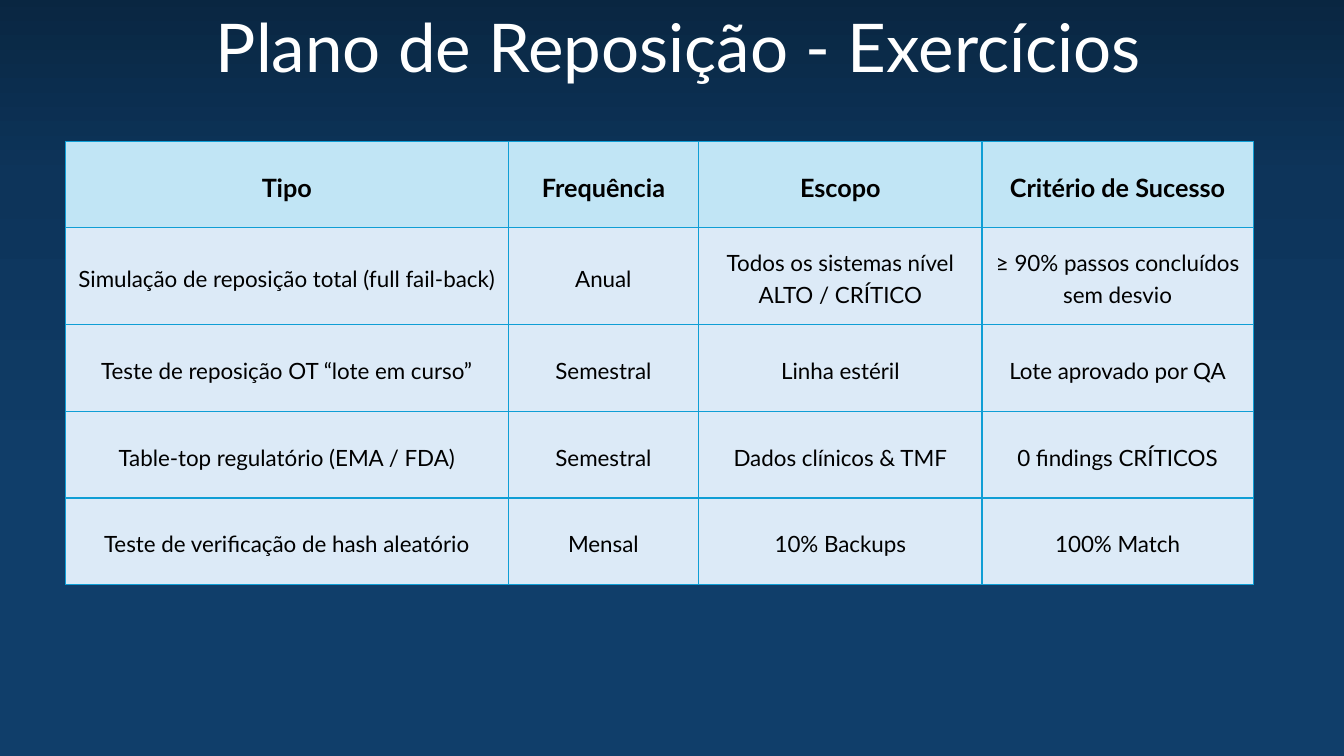
from lxml.etree import SubElement
from pptx import Presentation
from pptx.dml.color import RGBColor
from pptx.enum.shapes import MSO_SHAPE as Preset
from pptx.enum.text import MSO_ANCHOR as Anchor, MSO_AUTO_SIZE as AutoSize, PP_ALIGN as Align
from pptx.oxml import parse_xml
from pptx.oxml.ns import nsdecls, qn
from pptx.util import Inches, Pt

HEADER = ["Tipo", "Frequência", "Escopo", "Critério de Sucesso"]
EXERCISES = [
    ["Simulação de reposição total (full fail-back)", "Anual",
     "Todos os sistemas nível ALTO / CRÍTICO", "≥ 90% passos concluídos sem desvio"],
    ["Teste de reposição OT “lote em curso”", "Semestral",
     "Linha estéril", "Lote aprovado por QA"],
    ["Table-top regulatório (EMA / FDA)", "Semestral",
     "Dados clínicos & TMF", "0 findings CRÍTICOS"],
    ["Teste de verificação de hash aleatório", "Mensal",
     "10% Backups", "100% Match"],
]
COLUMN_SHARES = [32.93, 14.18, 21.08, 20.18]
ROW_SHARES = [11.47, 12.8, 11.47, 11.47, 11.47]
BACKGROUND_STOPS = [(0, "09253F"), (25, "0D345A"), (65, "103E6A")]


def rgb(value):
    return RGBColor.from_string(value)


class SlideBuilder:
    font_name = "Lato"
    white = "FFFFFF"
    black = "000000"
    border = "0F9ED5"
    header_fill = "C1E5F5"
    body_fill = "DCEAF7"

    def __init__(self, presentation):
        self.width = presentation.slide_width
        self.height = presentation.slide_height
        self.slide = presentation.slides.add_slide(presentation.slide_layouts[6])

    def across(self, share):
        return int(self.width * share / 100)

    def down(self, share):
        return int(self.height * share / 100)

    def box(self, left, top, width, height):
        return self.across(left), self.down(top), self.across(width), self.down(height)

    def styled_text(self, text_frame, text, size, color, bold=False):
        text_frame.text = text
        paragraph = text_frame.paragraphs[0]
        paragraph.alignment = Align.CENTER
        for run in paragraph.runs:
            run.font.name = self.font_name
            run.font.size = Pt(size)
            run.font.bold = bold
            run.font.color.rgb = rgb(color)
        return paragraph

    def background(self, stops, *place):
        shape = self.slide.shapes.add_shape(Preset.RECTANGLE, *self.box(*place))
        shape.shadow.inherit = False
        shape.line.color.rgb = rgb(self.black)
        shape.line.width = Pt(1.5)
        stop_xml = "".join(
            f'<a:gs pos="{position * 1000}"><a:srgbClr val="{color}"/></a:gs>'
            for position, color in stops)
        gradient = parse_xml(
            f'<a:gradFill {nsdecls("a")} rotWithShape="1"><a:gsLst>{stop_xml}</a:gsLst>'
            '<a:lin ang="5400000" scaled="0"/></a:gradFill>')
        shape.element.spPr.find(qn("a:prstGeom")).addnext(gradient)

    def title(self, text, *place):
        text_frame = self.slide.shapes.add_textbox(*self.box(*place)).text_frame
        text_frame.word_wrap = False
        text_frame.auto_size = AutoSize.SHAPE_TO_FIT_TEXT
        self.styled_text(text_frame, text, 48, self.white)

    def cell_borders(self, cell, top_width):
        properties = cell._tc.get_or_add_tcPr()
        for side, width in (("L", 1), ("R", 1), ("T", top_width), ("B", 1)):
            line = SubElement(properties, qn(f"a:ln{side}"), w=str(Pt(width)))
            fill = SubElement(line, qn("a:solidFill"))
            SubElement(fill, qn("a:srgbClr"), val=self.border)

    def table_cell(self, cell, text, is_header, top_width):
        self.cell_borders(cell, top_width)
        cell.fill.solid()
        cell.fill.fore_color.rgb = rgb(self.header_fill if is_header else self.body_fill)
        cell.vertical_anchor = Anchor.MIDDLE
        cell.margin_left = cell.margin_right = Inches(0.07)
        cell.margin_top = cell.margin_bottom = 0
        paragraph = self.styled_text(cell.text_frame, text, 18 if is_header else 16,
                                     self.black, is_header)
        paragraph.line_spacing = 1.2
        paragraph.space_after = Pt(3)

    def table(self, rows, left, top, column_shares, row_shares):
        place = self.box(left, top, sum(column_shares), sum(row_shares))
        table = self.slide.shapes.add_table(len(rows), len(column_shares), *place).table
        table.first_row = table.horz_banding = False
        for column, share in zip(table.columns, column_shares):
            column.width = self.across(share)
        for row, share in zip(table.rows, row_shares):
            row.height = self.down(share)
        last = len(rows) - 1
        for row_index, texts in enumerate(rows):
            for column_index, text in enumerate(texts):
                self.table_cell(table.cell(row_index, column_index), text,
                                row_index == 0, 2 if row_index == last else 1)


def main():
    presentation = Presentation()
    presentation.slide_width = Inches(13.33)
    presentation.slide_height = Inches(7.5)
    builder = SlideBuilder(presentation)
    builder.background(BACKGROUND_STOPS, -2.03, -2.93, 104.88, 106.4)
    builder.title("Plano de Reposição - Exercícios", 15.15, 0, 70.67, 12.13)
    builder.table([HEADER] + EXERCISES, 4.88, 18.67, COLUMN_SHARES, ROW_SHARES)
    presentation.save("out.pptx")


if __name__ == "__main__":
    main()
